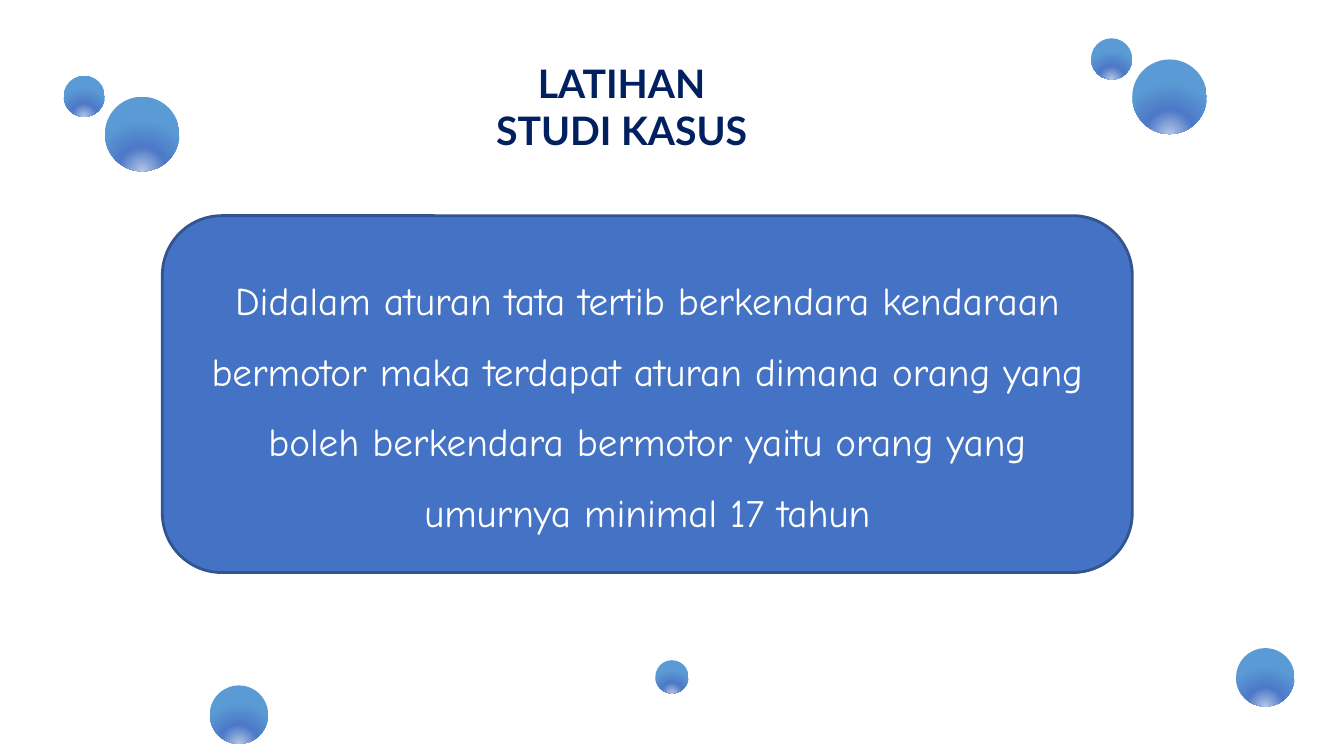
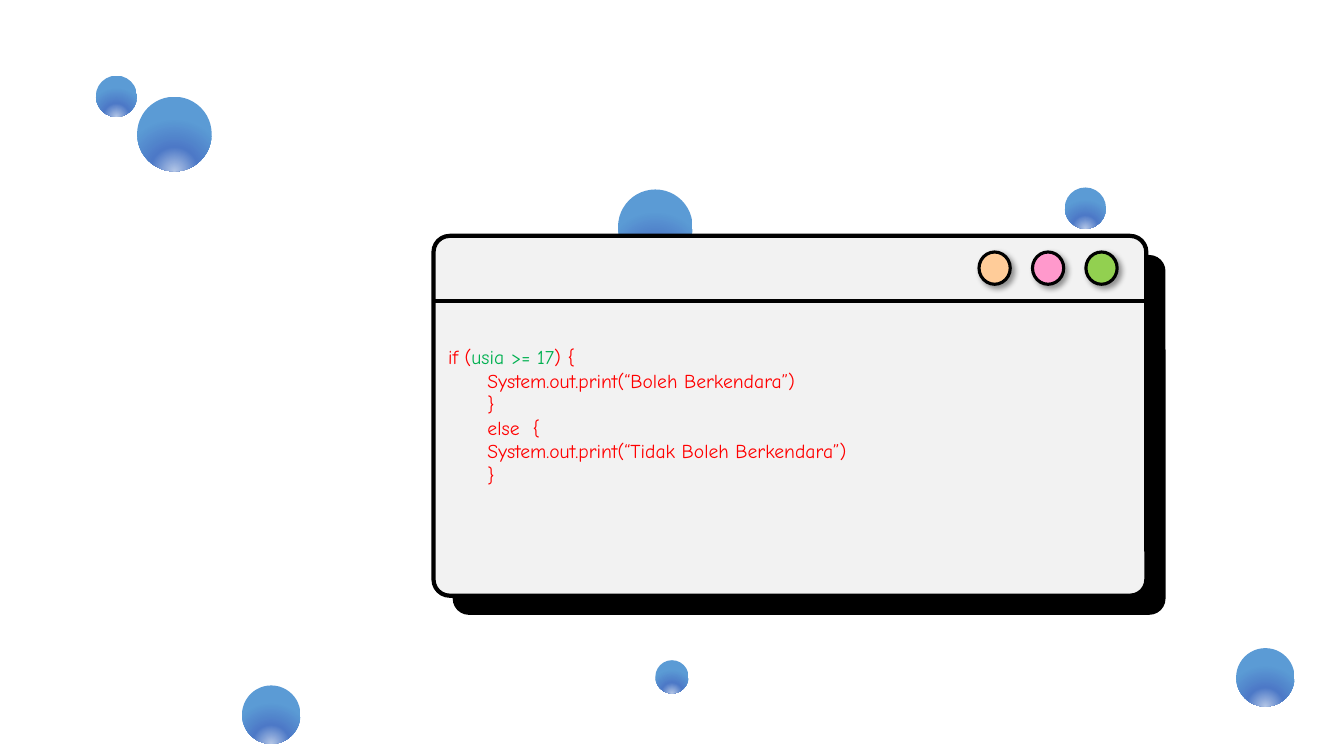
from dataclasses import dataclass

from pptx import Presentation as Deck
from pptx.dml.color import RGBColor as Rgb
from pptx.enum.dml import MSO_PATTERN as Pat
from pptx.enum.shapes import MSO_CONNECTOR as Link
from pptx.enum.shapes import MSO_SHAPE as Form
from pptx.enum.text import MSO_ANCHOR as Anchor
from pptx.enum.text import PP_ALIGN as Align
from pptx.oxml import parse_xml as to_xml
from pptx.oxml.ns import nsdecls as spaces
from pptx.util import Inches, Pt


@dataclass(frozen=True)
class Theme:
    navy: str = "002060"
    blue: str = "4472C4"
    edge: str = "325491"
    white: str = "FFFFFF"
    black: str = "000000"
    pane: str = "F2F2F2"
    red: str = "FF0000"
    green: str = "00B050"
    dots: tuple = ("FFCC99", "FF99CC", "92D050")
    glow: tuple = ((0, "B4C7E7"), (46, "4D79C7"), (100, "5B9BD5"))
    head: str = "Lato"
    hand: str = "Comic Neue"
    big: int = 28
    small: int = 14


class Sketch:
    """Hold the theme and the current slide, and draw each kind of element."""

    def __init__(self, theme):
        self.theme = theme
        self.deck = Deck()
        self.deck.slide_width = Inches(13.33)
        self.deck.slide_height = Inches(7.5)
        self.slide = None

    def page(self):
        self.slide = self.deck.slides.add_slide(self.deck.slide_layouts[6])

    def shape(self, form, box, fill=None, line=None, width=0, bend=None):
        item = self.slide.shapes.add_shape(form, *map(Inches, box))
        item.shadow.inherit = False
        if bend is not None:
            item.adjustments[0] = bend
        if fill:
            item.fill.solid()
            item.fill.fore_color.rgb = Rgb.from_string(fill)
        else:
            item.fill.background()
        if line:
            item.line.color.rgb = Rgb.from_string(line)
            item.line.width = Pt(width)
        else:
            item.line.fill.background()
        return item

    def text(self, frame, lines, font, **form):
        frame.word_wrap = True
        for count, runs in enumerate(lines):
            para = frame.add_paragraph() if count else frame.paragraphs[0]
            for key, value in form.items():
                setattr(para, key, value)
            for words, tint in runs:
                run = para.add_run()
                run.text = words
                for key, value in font.items():
                    setattr(run.font, key, value)
                run.font.color.rgb = Rgb.from_string(tint)

    def title(self, box, lines):
        look = self.theme
        frame = self.slide.shapes.add_textbox(*map(Inches, box)).text_frame
        font = {"name": look.head, "size": Pt(look.big), "bold": True}
        self.text(frame, [[(words, look.navy)] for words in lines], font,
                  alignment=Align.CENTER)

    def card(self, box, words):
        look = self.theme
        item = self.shape(Form.ROUNDED_RECTANGLE, box, look.blue, look.edge, 2)
        item.text_frame.vertical_anchor = Anchor.MIDDLE
        font = {"name": look.hand, "size": Pt(look.big)}
        self.text(item.text_frame, [[(words, look.white)]], font,
                  alignment=Align.CENTER, line_spacing=1.5)

    def bubble(self, left, top, size):
        item = self.shape(Form.OVAL, (left, top, size, size))
        stops = "".join(
            f'<a:gs pos="{pos * 1000}"><a:srgbClr val="{tint}"/></a:gs>'
            for pos, tint in self.theme.glow)
        glow = to_xml(
            f'<a:gradFill {spaces("a")} rotWithShape="1"><a:gsLst>{stops}</a:gsLst>'
            '<a:path path="circle"><a:fillToRect l="50000" t="130000" '
            'r="50000" b="-30000"/></a:path></a:gradFill>')
        props = item.element.spPr
        props.replace(props.find("{*}noFill"), glow)

    def pair(self, left, top):
        self.bubble(left + 0.41, top + 0.21, 0.74)
        self.bubble(left, top, 0.41)

    def decor(self, left):
        self.bubble(12.26, 6.43, 0.58)
        self.bubble(6.5, 6.55, 0.33)
        self.pair(left, 0.75)
        self.bubble(left + 1.45, 6.8, 0.58)

    def rule(self, left, top, right):
        ends = map(Inches, (left, top, right, top))
        item = self.slide.shapes.add_connector(Link.STRAIGHT, *ends)
        item.line.color.rgb = Rgb.from_string(self.theme.black)
        item.line.width = Pt(3)
        item.element.spPr.append(to_xml(f'<a:effectLst {spaces("a")}/>'))

    def dot(self, left, top, tint):
        box = (left, top, 0.31, 0.32)
        item = self.shape(Form.OVAL, box, tint, self.theme.black, 2.25)
        shade = to_xml(
            f'<a:outerShdw {spaces("a")} blurRad="{Pt(4)}" dist="{Pt(3)}" '
            'dir="2700000" algn="tl" rotWithShape="0">'
            f'<a:srgbClr val="{self.theme.black}"><a:alpha val="40000"/>'
            '</a:srgbClr></a:outerShdw>')
        item.element.spPr.find("{*}effectLst").append(shade)

    def window(self, left, top, wide, high, lines):
        look = self.theme
        form = Form.ROUNDED_RECTANGLE
        self.shape(form, (left + 0.19, top + 0.19, wide, high),
                   look.black, bend=0.045)
        item = self.shape(form, (left, top, wide, high), look.pane,
                          look.black, 3, 0.045)
        item.fill.patterned()
        item.fill.pattern = Pat.DARK_VERTICAL
        item.fill.fore_color.rgb = Rgb.from_string(look.pane)
        item.fill.back_color.rgb = Rgb.from_string(look.white)
        frame = item.text_frame
        frame.vertical_anchor = Anchor.MIDDLE
        font = {"name": look.hand, "size": Pt(look.small)}
        self.text(frame, lines, font, alignment=Align.LEFT)
        for para in frame.paragraphs[1:]:
            props = para._p.get_or_add_pPr()
            props.set("marL", str(Inches(0.39)))
            props.set("indent", "0")
        self.rule(left, top + 0.65, left + wide - 0.02)
        for count, tint in enumerate(look.dots):
            self.dot(left + 5.41 + 0.53 * count, top + 0.16, tint)


def main():
    look = Theme()
    art = Sketch(look)

    art.page()
    art.pair(10.82, 0.38)
    art.decor(0.63)
    art.card((1.61, 2.14, 9.62, 3.54),
             "Didalam aturan tata tertib berkendara kendaraan bermotor maka "
             "terdapat aturan dimana orang yang boleh berkendara bermotor "
             "yaitu orang yang umurnya minimal 17 tahun")
    art.title((2.25, 0.54, 7.83, 1.04), ["LATIHAN", "STUDI KASUS"])

    art.page()
    art.bubble(6.13, 1.88, 0.74)
    art.bubble(10.56, 1.86, 0.41)
    art.decor(0.95)
    rest = ["System.out.print(“Boleh Berkendara”)", "}", "else  {",
            "System.out.print(“Tidak Boleh Berkendara”)", "}"]
    test = [("if (", look.red), ("usia >= 17", look.green), (") {", look.red)]
    code = [test] + [[(words, look.red)] for words in rest]
    art.window(4.3, 2.34, 7.07, 3.57, code)

    art.deck.save("out.pptx")


if __name__ == "__main__":
    main()
